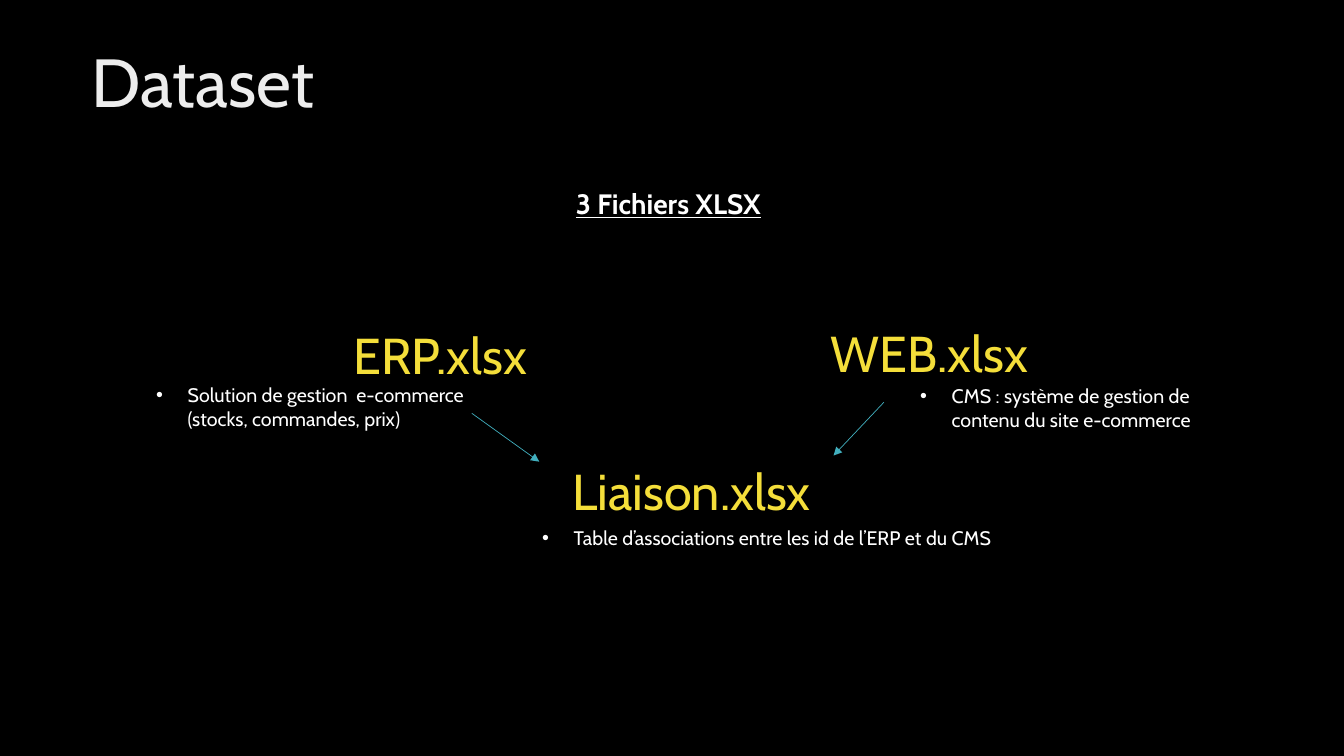
from lxml.etree import SubElement
from pptx import Presentation
from pptx.dml.color import RGBColor
from pptx.enum.shapes import MSO_CONNECTOR
from pptx.enum.text import MSO_ANCHOR, MSO_AUTO_SIZE, PP_ALIGN
from pptx.oxml.ns import qn
from pptx.util import Pt

COLORS = {
    "background": "000000",
    "title": "EDEDED",
    "text": "FFFFFF",
    "file": "F4DE3A",
    "arrow": "41AEBD",
}


class DatasetSlide:
    """Holds the style and the current slide."""

    font_name = "Cabin"
    bullet_indent = 22.5

    def __init__(self, presentation):
        self.slide = presentation.slides.add_slide(presentation.slide_layouts[6])
        fill = self.slide.background.fill
        fill.solid()
        fill.fore_color.rgb = self.color("background")

    def color(self, name):
        return RGBColor.from_string(COLORS[name])

    def text(self, words, box, size, color, frame_format=None,
             paragraph_format=None, bullet=False, **font_format):
        frame = self.slide.shapes.add_textbox(*map(Pt, box)).text_frame
        paragraph = frame.paragraphs[0]
        if bullet:
            self.bullet(paragraph)
        run = paragraph.add_run()
        run.text = words
        run.font.color.rgb = self.color(color)
        formats = (
            (frame, {"word_wrap": True,
                     "auto_size": MSO_AUTO_SIZE.SHAPE_TO_FIT_TEXT,
                     **(frame_format or {})}),
            (paragraph, paragraph_format or {}),
            (run.font, {"name": self.font_name, "size": Pt(size), **font_format}),
        )
        for target, values in formats:
            for attribute, value in values.items():
                setattr(target, attribute, value)

    def bullet(self, paragraph):
        properties = paragraph._p.get_or_add_pPr()
        indent = Pt(self.bullet_indent)
        properties.set("marL", str(indent))
        properties.set("indent", str(-indent))
        SubElement(properties, qn("a:buFont"), typeface="Arial")
        SubElement(properties, qn("a:buChar"), char="•")

    def file(self, name, name_box, note, note_box):
        self.text(name, name_box, 36, "file")
        self.text(note, note_box, 14, "text", bullet=True)

    def arrow(self, start, end):
        connector = self.slide.shapes.add_connector(
            MSO_CONNECTOR.STRAIGHT, *map(Pt, start + end))
        connector.line.color.rgb = self.color("arrow")
        connector.line.width = Pt(0.5)
        SubElement(connector.line._get_or_add_ln(), qn("a:tailEnd"), type="triangle")
        SubElement(connector._element.spPr, qn("a:effectLst"))


def main():
    presentation = Presentation()
    presentation.slide_width = Pt(960)
    presentation.slide_height = Pt(540)
    dataset = DatasetSlide(presentation)

    # Title and heading
    dataset.text("Dataset", (58.3, 31.7, 615, 59), 48.6, "title",
                 {"auto_size": MSO_AUTO_SIZE.NONE,
                  "vertical_anchor": MSO_ANCHOR.MIDDLE},
                 {"line_spacing": 0.9})
    dataset.text("3 Fichiers XLSX", (395.3, 129.6, 164.2, 31.5), 20, "text",
                 paragraph_format={"alignment": PP_ALIGN.CENTER},
                 bold=True, underline=True)

    # Files and their descriptions
    files = (
        ("ERP.xlsx", (245.5, 228.2, 167.8, 51),
         "Solution de gestion  e-commerce (stocks, commandes, prix)",
         (104.4, 270, 265, 41)),
        ("WEB.xlsx", (586.1, 226.8, 176.4, 51),
         "CMS : système de gestion de contenu du site e-commerce",
         (650.2, 270.7, 234, 41)),
        ("Liaison.xlsx", (401.8, 325.4, 190.8, 51),
         "Table d’associations entre les id de l’ERP et du CMS",
         (380.2, 372.2, 336.2, 24.5)),
    )
    for file in files:
        dataset.file(*file)

    # Arrows from both sources to the linking file
    dataset.arrow((337, 295.2), (385.2, 329.8))
    dataset.arrow((631.4, 287.3), (595.4, 325.4))

    presentation.save("out.pptx")


if __name__ == "__main__":
    main()
